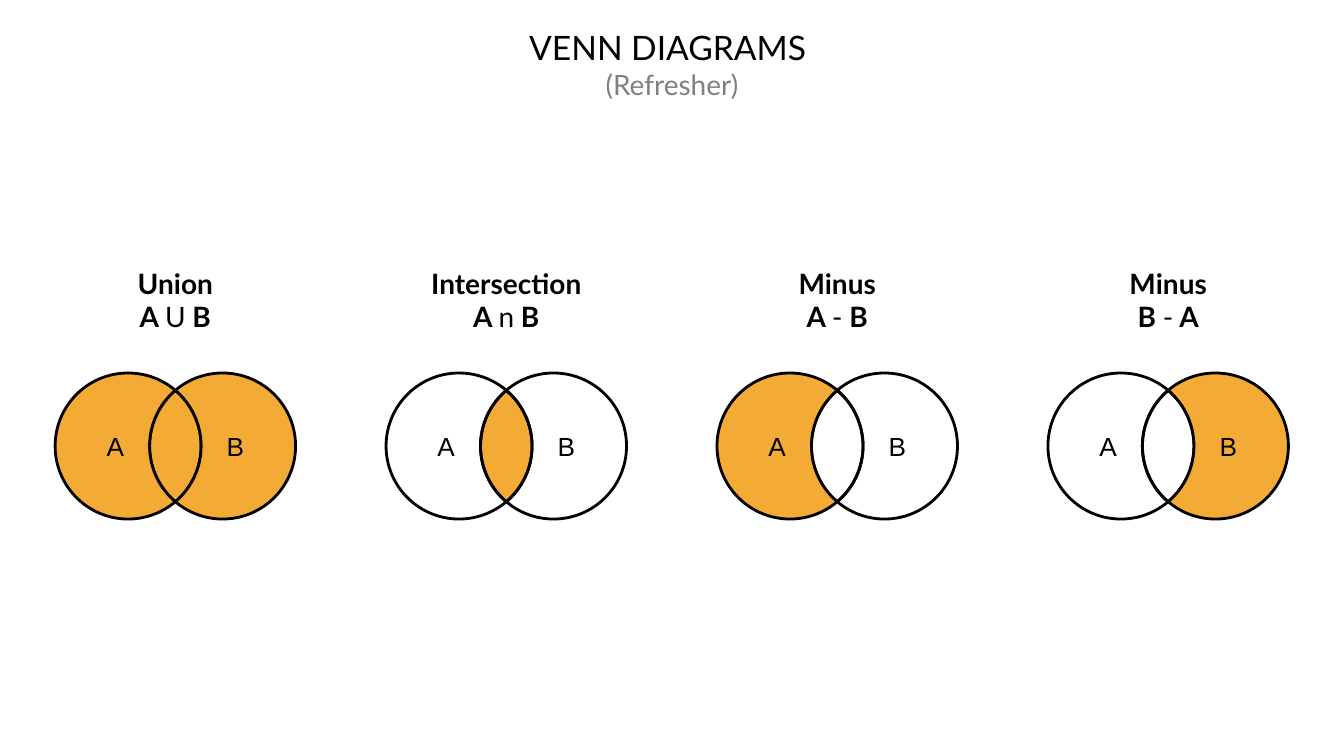
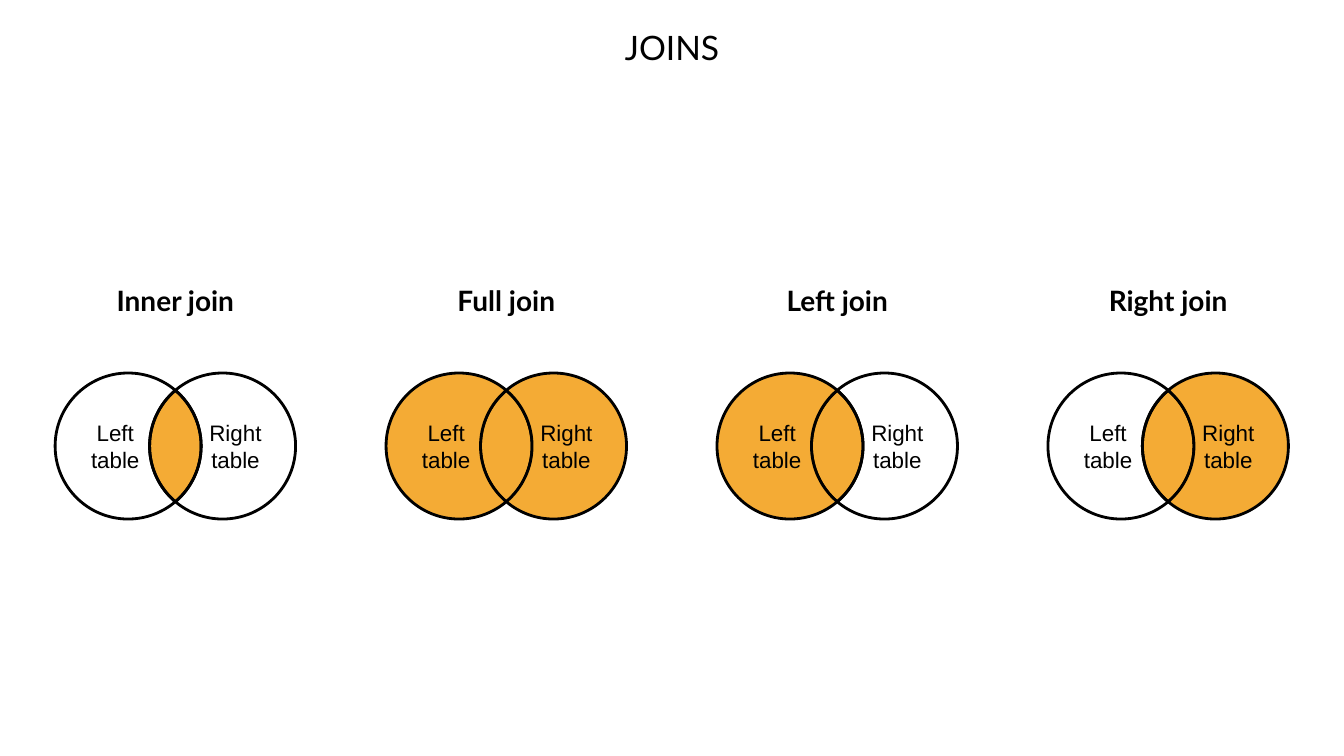
import math

from lxml import etree
from pptx import Presentation
from pptx.dml.color import RGBColor
from pptx.enum import text
from pptx.oxml.ns import qn
from pptx.util import Cm, Pt

BLACK = RGBColor(0x00, 0x00, 0x00)
GREY = RGBColor(0x80, 0x80, 0x80)
AMBER = RGBColor(0xF4, 0xAB, 0x35)
TITLE_FONT, LABEL_FONT = "Lato", "Arial"

SLIDE_W, SLIDE_H = Cm(33.87), Cm(19.05)
PANEL_LEFT, PANEL_TOP = Cm(0.58), Cm(6.7)
PANEL_W, PANEL_PITCH = Cm(7.68), Cm(8.34)
HEADING_MIDDLE, LINE_H = Cm(0.86), Cm(0.86)
CIRCLE_MIDDLE = Cm(4.54)
RADIUS, HALF_GAP = Cm(1.84), Cm(1.19)

VENN = [
    (["Union", "A U B"], {"left", "lens", "right"}),
    (["Intersection", "A n B"], {"lens"}),
    (["Minus", "A - B"], {"left"}),
    (["Minus", "B - A"], {"right"}),
]
JOINS = [
    (["Inner join"], {"lens"}),
    (["Full join"], {"left", "lens", "right"}),
    (["Left join"], {"left", "lens"}),
    (["Right join"], {"lens", "right"}),
]


def style(p, name, size, color=BLACK, bold=False):
    """Centre a paragraph and set its font."""
    p.alignment = text.PP_ALIGN.CENTER
    f = p.font
    f.name, f.size, f.bold = name, Pt(size), bold
    f.color.rgb = color


def set_margins(tf, margin):
    """Give all four sides of a text frame the same margin."""
    tf.margin_left = tf.margin_top = tf.margin_right = tf.margin_bottom = margin


def add_title(slide, title, subtitle=None):
    """Place the title, with an optional grey second line."""
    s = slide.shapes.title
    width = Cm(26.9)
    s.left, s.top = (SLIDE_W - width) // 2, Cm(0.56)
    s.width, s.height = width, Cm(2.13 if subtitle else 1.27)
    tf = s.text_frame
    set_margins(tf, Cm(0.13))
    tf.auto_size = text.MSO_AUTO_SIZE.NONE
    tf.vertical_anchor = text.MSO_ANCHOR.TOP
    p = tf.paragraphs[0]
    p.text = title
    style(p, TITLE_FONT, 24)
    if subtitle:
        p = tf.add_paragraph()
        p.text = subtitle
        style(p, TITLE_FONT, 20, GREY)


def add_heading(slide, left, middle, lines):
    """Place a bold heading whose set operator, if any, is regular."""
    height = LINE_H * len(lines)
    s = slide.shapes.add_textbox(left, middle - height // 2, PANEL_W, height)
    tf = s.text_frame
    tf.word_wrap = True
    tf.vertical_anchor = text.MSO_ANCHOR.MIDDLE
    set_margins(tf, 0)
    p = tf.paragraphs[0]
    style(p, TITLE_FONT, 20, bold=True)
    p.add_run().text = lines[0]
    for line in lines[1:]:
        p.add_line_break()
        first, operator, second = line.split()
        p.add_run().text = first + " "
        r = p.add_run()
        r.text = operator
        r.font.bold = False
        p.add_run().text = " " + second


def arc(cx, *angles):
    """List the Bezier points that follow the start of an arc through the angles."""
    points = []
    for a, b in zip(angles, angles[1:]):
        k = 4 / 3 * math.tan((b - a) / 4)
        for x, y in (
            (math.cos(a) - k * math.sin(a), math.sin(a) + k * math.cos(a)),
            (math.cos(b) + k * math.sin(b), math.sin(b) - k * math.cos(b)),
            (math.cos(b), math.sin(b)),
        ):
            points.append((cx + RADIUS * x, RADIUS * y))
    return points


def venn_regions():
    """Outline the lens and the two crescents of circles around the origin."""
    a, pi = math.acos(HALF_GAP / RADIUS), math.pi
    lens = arc(-HALF_GAP, -a, 0, a) + arc(HALF_GAP, pi - a, pi, pi + a)
    left = (arc(-HALF_GAP, a, pi / 2, pi, 3 * pi / 2, 2 * pi - a)
            + arc(HALF_GAP, pi + a, pi, pi - a))
    return {"lens": lens, "left": left, "right": [(-x, y) for x, y in left]}


def add_curve(shapes, points):
    """Add a closed Bezier outline, three points to each curve."""
    builder = shapes.build_freeform(*points[-1])
    builder.add_line_segments(points, close=False)
    s = builder.convert_to_shape()
    segments = list(s.element.iter(qn("a:lnTo")))
    outline = segments[0].getparent()
    for i in range(0, len(segments), 3):
        curve = etree.SubElement(outline, qn("a:cubicBezTo"))
        for segment in segments[i:i + 3]:
            curve.append(segment[0])
            outline.remove(segment)
    etree.SubElement(outline, qn("a:close"))
    return s


def add_venn(slide, cx, cy, filled, labels, size):
    """Draw a grouped Venn diagram centred at a point."""
    group = slide.shapes.add_group_shape()
    for region, outline in venn_regions().items():
        s = add_curve(group.shapes, [(cx + x, cy + y) for x, y in outline])
        s.shadow.inherit = False
        s.line.color.rgb, s.line.width = BLACK, Pt(2)
        if region in filled:
            s.fill.solid()
            s.fill.fore_color.rgb = AMBER
        else:
            s.fill.background()
        if region in labels:
            tf = s.text_frame
            tf.word_wrap = True
            tf.vertical_anchor = text.MSO_ANCHOR.MIDDLE
            p = tf.paragraphs[0]
            p.text = labels[region]
            style(p, LABEL_FONT, size)


def add_panel(slide, left, top, lines, filled, labels, size):
    """Place a heading above its Venn diagram."""
    add_heading(slide, left, top + HEADING_MIDDLE, lines)
    add_venn(slide, left + PANEL_W // 2, top + CIRCLE_MIDDLE, filled, labels, size)


def add_venn_slide(prs, title, subtitle, panels, labels, size):
    """Add a slide with a title and a row of Venn panels."""
    slide = prs.slides.add_slide(prs.slide_layouts[5])
    add_title(slide, title, subtitle)
    for i, (lines, filled) in enumerate(panels):
        add_panel(slide, PANEL_LEFT + i * PANEL_PITCH, PANEL_TOP,
                  lines, filled, labels, size)


def main():
    """Build and save the presentation."""
    prs = Presentation()
    prs.slide_width, prs.slide_height = SLIDE_W, SLIDE_H
    add_venn_slide(prs, "VENN DIAGRAMS ", "(Refresher)", VENN,
                   {"left": "A", "right": "B"}, 18.7)
    add_venn_slide(prs, "JOINS", None, JOINS,
                   {"left": "Left\vtable", "right": "Right table"}, 16)
    prs.save("out.pptx")


if __name__ == "__main__":
    main()
